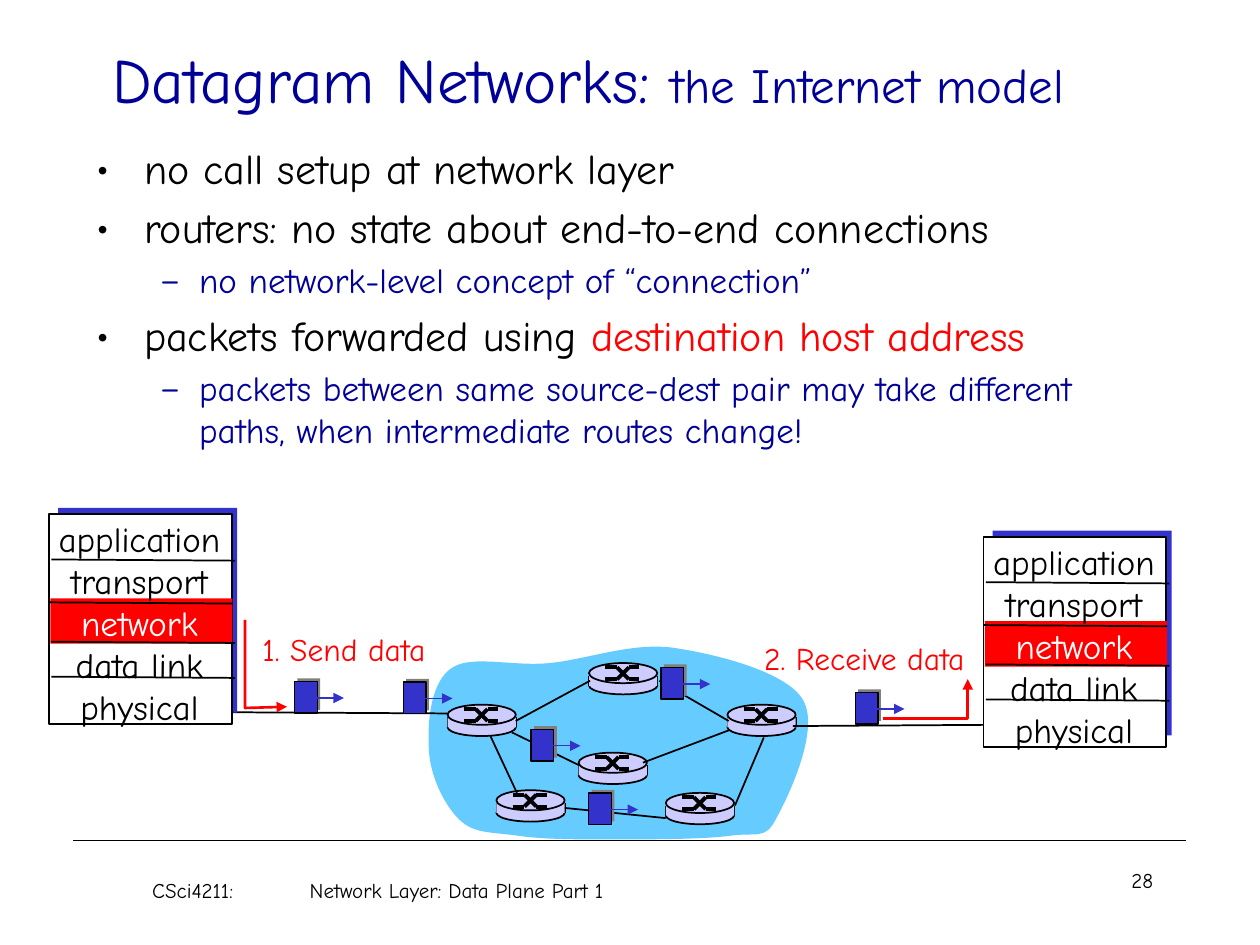
from lxml.etree import SubElement
from pptx import Presentation
from pptx.dml.color import RGBColor
from pptx.enum.shapes import MSO_CONNECTOR, MSO_SHAPE
from pptx.enum.text import MSO_ANCHOR, MSO_AUTO_SIZE, PP_ALIGN
from pptx.oxml.ns import qn
from pptx.util import Pt

FONT = "Comic Neue"
C = {"black": "000000", "white": "FFFFFF", "navy": "000099", "red": "FF0000",
     "blue": "3333CC", "sky": "66CCFF", "lilac": "CCCCFF", "gray": "808080"}


def rgb(name):
    return RGBColor.from_string(C[name])


def set_line(line, color, width):
    if color is None:
        line.fill.background()
    else:
        line.color.rgb = rgb(color)
        line.width = Pt(width)


def add_arrowhead(sp):
    SubElement(sp.line._get_or_add_ln(), qn("a:tailEnd"), type="triangle")


def add_line(s, x1, y1, x2, y2, color="black", width=1, arrow=False):
    cx = s.shapes.add_connector(MSO_CONNECTOR.STRAIGHT, Pt(x1), Pt(y1), Pt(x2), Pt(y2))
    set_line(cx.line, color, width)
    if arrow:
        add_arrowhead(cx)
    SubElement(cx._element.spPr, qn("a:effectLst"))


def add_box(s, kind, x, y, w, h, fill, line=None, width=1):
    sp = s.shapes.add_shape(kind, Pt(x), Pt(y), Pt(w), Pt(h))
    sp.shadow.inherit = False
    sp.fill.solid()
    sp.fill.fore_color.rgb = rgb(fill)
    set_line(sp.line, line, width)


def add_outline(s, points, closed):
    pts = [(Pt(x), Pt(y)) for x, y in points]
    builder = s.shapes.build_freeform(*pts[0])
    builder.add_line_segments(pts[1:], close=closed)
    sp = builder.convert_to_shape()
    sp.shadow.inherit = False
    return sp


def curve_outline(sp):
    """Turn each three segments into one cubic curve."""
    segments = list(sp._element.iter(qn("a:lnTo")))
    for i in range(0, len(segments), 3):
        curve = SubElement(segments[i].getparent(), qn("a:cubicBezTo"))
        segments[i].addprevious(curve)
        for segment in segments[i:i + 3]:
            curve.append(segment[0])
            segment.getparent().remove(segment)


def add_runs(p, runs, align=PP_ALIGN.LEFT):
    p.alignment = align
    for text, size, color in runs:
        r = p.add_run()
        r.text = text
        for key, value in {"name": FONT, "size": Pt(size), "bold": False}.items():
            setattr(r.font, key, value)
        r.font.color.rgb = rgb(color)


def add_text(s, x, y, w, h, paragraphs, align=PP_ALIGN.LEFT, wrap=True):
    tf = s.shapes.add_textbox(Pt(x), Pt(y), Pt(w), Pt(h)).text_frame
    tf.word_wrap = wrap
    for i, runs in enumerate(paragraphs):
        add_runs(tf.add_paragraph() if i else tf.paragraphs[0], runs, align)
    return tf


def add_title(s, x, y, w, h):
    title = s.shapes.title
    box = {"left": x, "top": y, "width": w, "height": h}
    for key, value in box.items():
        setattr(title, key, Pt(value))
    tf = title.text_frame
    frame = {"vertical_anchor": MSO_ANCHOR.MIDDLE, "auto_size": MSO_AUTO_SIZE.NONE,
             "word_wrap": True}
    for key, value in frame.items():
        setattr(tf, key, value)
    add_runs(tf.paragraphs[0], [("Datagram Networks: ", 36, "navy"),
                                ("the Internet model", 28, "navy")], PP_ALIGN.CENTER)


def add_bullets(s, x, y, w, h):
    styles = [(24, "black", "•", 27, -27), (20, "navy", "–", 58.5, -22.5)]
    items = [
        (0, "no call setup at network layer", ""),
        (0, "routers: no state about end-to-end connections", ""),
        (1, "no network-level concept of “connection”", ""),
        (0, "packets forwarded using ", "destination host address"),
        (1, "packets between same source-dest pair may take different "
            "paths, when intermediate routes change!", ""),
    ]
    paragraphs = []
    for level, text, key_term in items:
        size, color = styles[level][:2]
        runs = [(text, size, color), (key_term, size, "red")]
        paragraphs.append([run for run in runs if run[0]])
    tf = add_text(s, x, y, w, h, paragraphs)
    for i, (p, item) in enumerate(zip(tf.paragraphs, items)):
        size, _, char, left, indent = styles[item[0]]
        p.level = item[0]
        p.space_before = Pt(0.2 * size if i else 0)
        pPr = p._p.get_or_add_pPr()
        pPr.set("marL", str(Pt(left)))
        pPr.set("indent", str(Pt(indent)))
        SubElement(pPr, qn("a:buFont"), typeface=FONT)
        SubElement(pPr, qn("a:buChar"), char=char)


def add_router(s, x, y):
    w = 39
    add_box(s, MSO_SHAPE.OVAL, x, y + 7.9, w, 10, "lilac", "black")
    for side in (x, x + w):
        add_line(s, side, y + 7.2, side, y + 13)
    add_box(s, MSO_SHAPE.RECTANGLE, x, y + 7.2, w, 5.8, "lilac")
    add_box(s, MSO_SHAPE.OVAL, x, y, w, 11.5, "lilac", "black")
    # Crossed switching paths
    for start, end in ((2.5, 9.3), (9.3, 2.5)):
        bends = [(9.3, start), (16, start), (22.8, end), (28.8, end)]
        for (x1, y1), (x2, y2) in zip(bends, bends[1:]):
            add_line(s, x + x1, y + y1, x + x2, y + y2, width=2.25)


def add_network(s, x, y):
    # Cloud: start point, then two controls and an end for each curve
    knots = [(0.8, 59.5), (0.1, 45.1), (2.2, 23.5), (13.8, 15.6),
             (25.3, 7.7), (49, 14.9), (69.9, 12.7), (91.5, 10.6), (117.4, 0.5), (141.2, 4.1),
             (165.7, 7.7), (205.3, 17.8), (214.6, 33.6),
             (224.7, 50.2), (206.7, 88.3), (199.5, 101.3),
             (193, 114.2), (188.7, 109.2), (172.9, 111.4),
             (157, 113.5), (125.4, 113.5), (105.2, 113.5),
             (85, 113.5), (66.3, 113.5), (51.9, 111.4),
             (37.5, 109.2), (26.7, 110.6), (18.1, 102), (9.4, 93.4), (0.8, 76.1), (0.8, 59.5)]
    cloud = add_outline(s, [(x + dx, y + dy) for dx, dy in knots], True)
    curve_outline(cloud)
    cloud.fill.solid()
    cloud.fill.fore_color.rgb = rgb("sky")
    set_line(cloud.line, None, 0)
    # Routers
    for rx, ry in [(11.6, 36.5), (39.5, 85.4), (92.4, 12.7),
                   (86.5, 63.9), (136.3, 86.9), (171.5, 36.5)]:
        add_router(s, x + rx, y + ry)
    # Links; the last two reach the hosts
    for x1, y1, x2, y2 in [(50.5, 45.8, 93, 22.8), (132.6, 22.8, 172.2, 45.8),
                           (48.3, 52.3, 86.5, 71), (123.2, 69.6, 172.9, 50.9),
                           (175.8, 94.1, 192.3, 55.2), (136.2, 101.3, 78.6, 95.5),
                           (51.2, 86.9, 36.1, 54.5), (-112.2, 40.8, 11.6, 41.5),
                           (319.8, 48, 208.9, 48.7)]:
        add_line(s, x + x1, y + y1, x + x2, y + y2)


def add_host_stack(s, x, y):
    rect = MSO_SHAPE.RECTANGLE
    add_box(s, rect, x + 5.2, y - 3.5, 102.3, 117, "blue")
    add_box(s, rect, x, y, 104.5, 120, "white", "black")
    add_box(s, rect, x + 0.8, y + 48.2, 104, 25.9, "red")
    layers = ["application", "transport", "network", "data link", "physical"]
    add_text(s, x - 9.8, y - 1.4, 123, 127.5,
             [[(name, 20, "white" if name == "network" else "black")] for name in layers],
             PP_ALIGN.CENTER)
    for dx, dy in [(0, 50.4), (1.4, 72.9), (1.4, 92.9), (1.4, 25.9)]:
        add_line(s, x + dx, y + dy, x + dx + 104.8, y + dy + 0.7)


def add_step(s, x, y, w, label, arrow):
    add_text(s, x, y, w, 29, [[(label, 18, "red")]], PP_ALIGN.CENTER, wrap=False)
    sp = add_outline(s, [(x + dx, y + dy) for dx, dy in arrow], False)
    sp.fill.background()
    set_line(sp.line, "red", 1.5)
    add_arrowhead(sp)


def add_packet(s, x, y):
    add_box(s, MSO_SHAPE.RECTANGLE, x + 1.7, y - 1.8, 13, 18, "gray")
    add_box(s, MSO_SHAPE.RECTANGLE, x, y, 13, 18, "blue", "black", 0.75)
    add_line(s, x + 12.4, y + 9.4, x + 28.2, y + 9.4, "blue", 0.75, arrow=True)


def add_footer(s, x, y, w):
    add_line(s, x, y, x + w, y, width=0.75)
    add_text(s, x + 474, y + 11.8, 150, 36, [[("28", 12, "black")]], PP_ALIGN.RIGHT)
    tf = add_text(s, x + 21.5, y + 18, 306, 36,
                  [[("CSci4211:\tNetwork Layer: Data Plane Part 1", 12, "black")]])
    tf.margin_left = Pt(23.5)
    tabs = SubElement(tf.paragraphs[0]._p.get_or_add_pPr(), qn("a:tabLst"))
    SubElement(tabs, qn("a:tab"), pos=str(Pt(90)), algn="l")


def main():
    prs = Presentation()
    prs.slide_width, prs.slide_height = Pt(720), Pt(540)
    s = prs.slides.add_slide(prs.slide_layouts[5])
    add_footer(s, 42, 480.2, 636)
    add_title(s, 0, 0, 672, 90)
    add_bullets(s, 48.2, 78, 613, 192)
    # Diagram
    diagram = s.shapes.add_group_shape()
    add_network(diagram, 244.2, 366.2)
    add_host_stack(diagram, 28, 293.8)
    add_host_stack(diagram, 562, 306.8)
    add_step(diagram, 137.5, 356.4, 118, "1. Send data",
             [(2.5, -2.2), (2.5, 48.2), (26.5, 47.5)])
    add_step(diagram, 422.6, 361.4, 142.6, "2. Receive data",
             [(82.1, 49), (130.4, 49), (130.4, 26.7)])
    for x, y in [(168.3, 389.5), (230.4, 389.7), (377.7, 381.5),
                 (336.4, 453.2), (303.5, 416.8), (488.7, 395.7)]:
        add_packet(diagram, x, y)
    prs.save("out.pptx")


if __name__ == "__main__":
    main()
